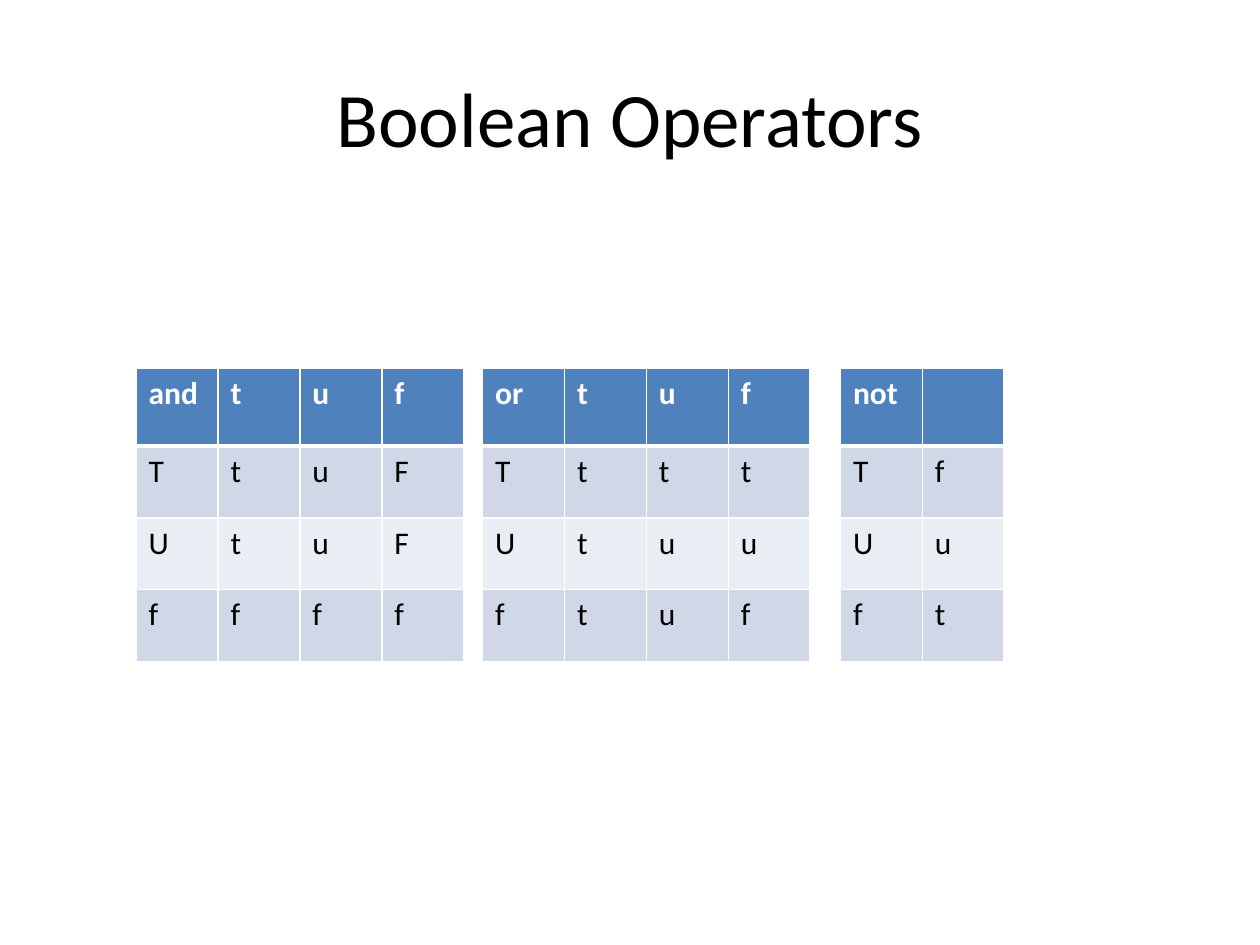
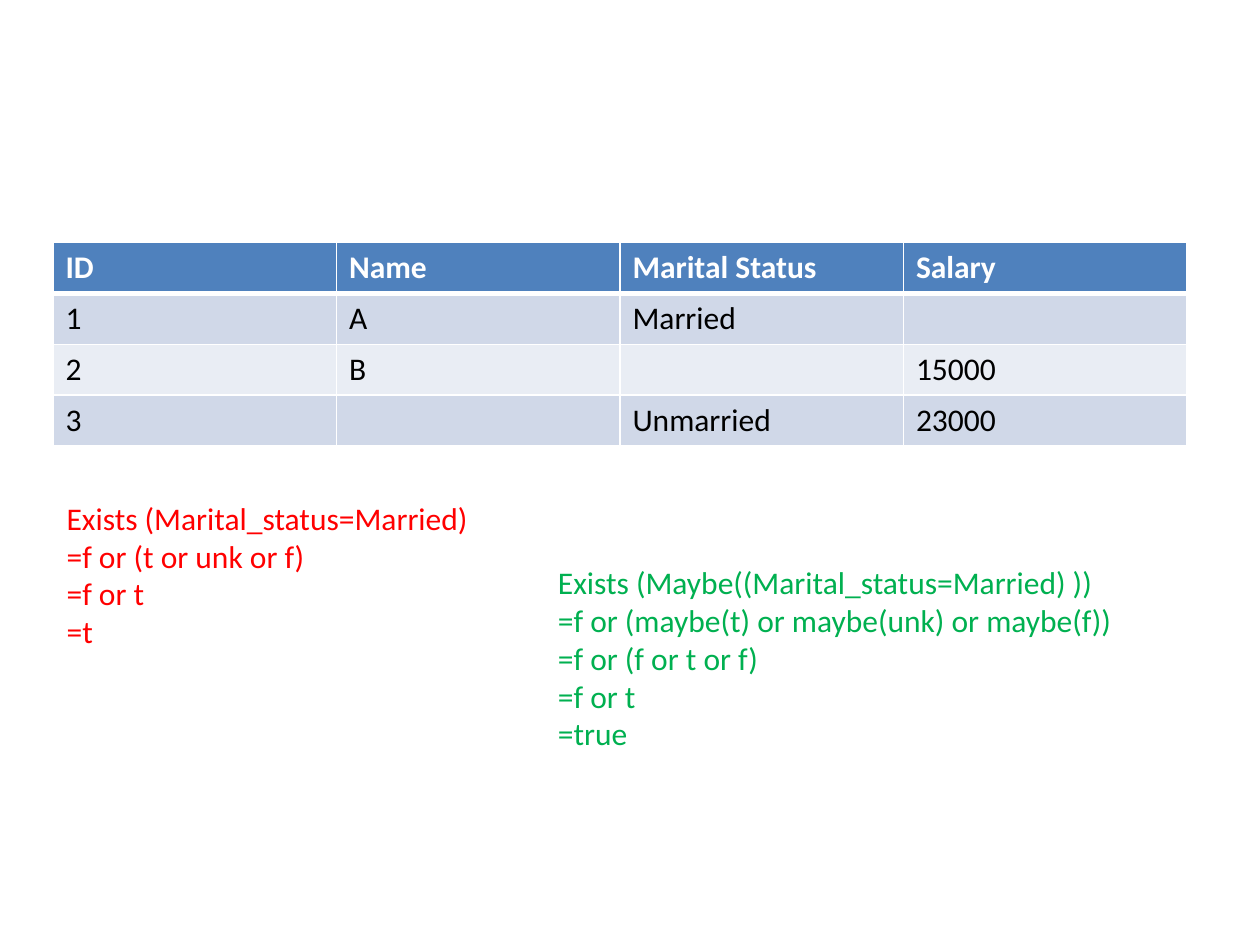
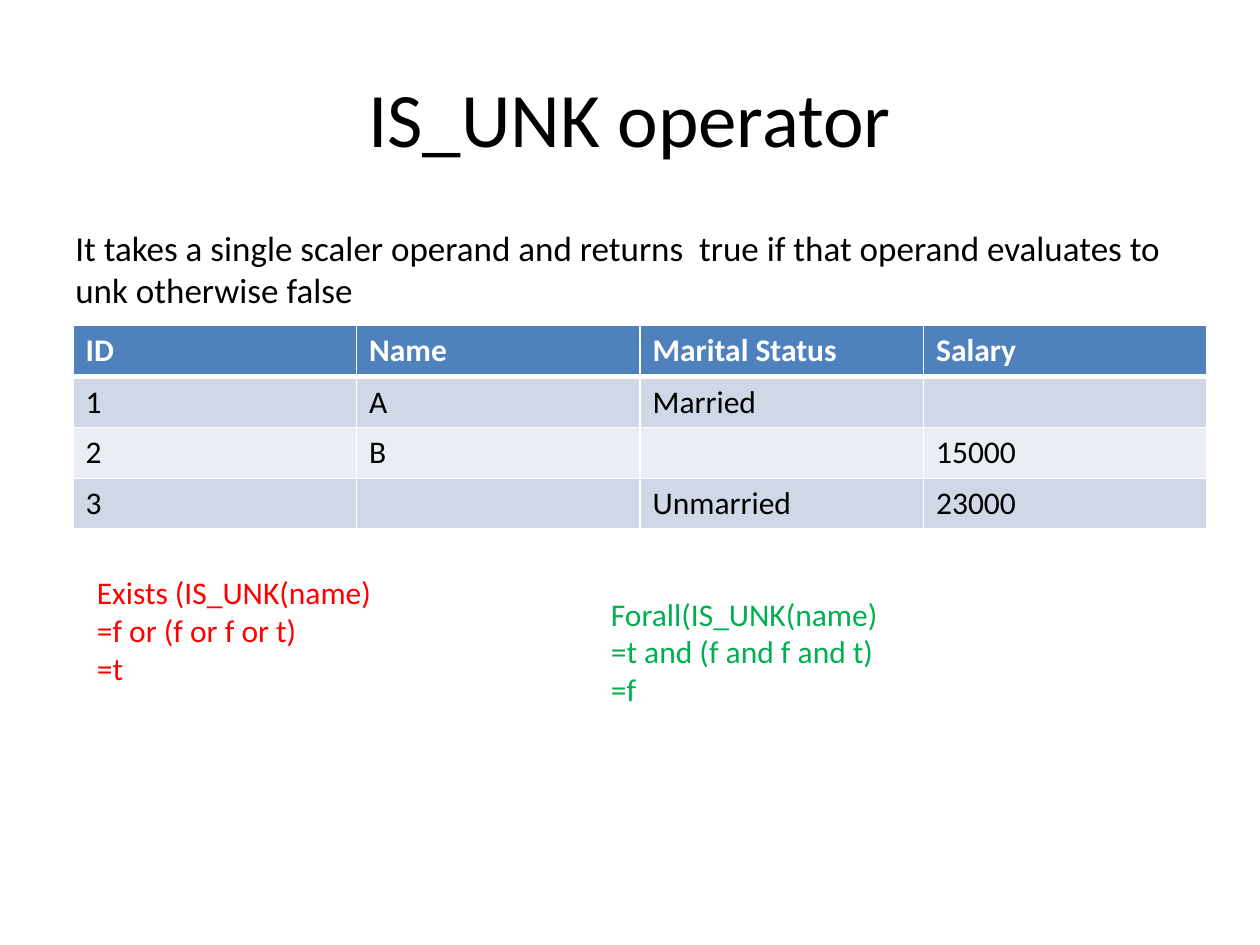
"""Build three slides on three-valued logic with truth tables and queries."""
from dataclasses import dataclass

from lxml import etree
from pptx import Presentation
from pptx import util as u
from pptx.dml.color import RGBColor
from pptx.enum import text
from pptx.oxml.ns import qn

FONT = "Calibri"
BLACK, WHITE, RED, GREEN = "000000", "FFFFFF", "FF0000", "00B050"
HEADER_FILL, BAND_FILLS = "4F81BD", ("D0D8E8", "E9EDF4")
TRUTH_TOP, TRUTH_COLUMN = 2.92, 0.65
RECORDS = (
    ("ID", "Name", "Marital Status", "Salary"),
    ("1", "A", "Married", ""),
    ("2", "B", "", "15000"),
    ("3", "", "Unmarried", "23000"),
)


@dataclass(frozen=True)
class TextBlock:
    """A text box with one paragraph per line."""

    left: float
    top: float
    width: float
    height: float
    lines: tuple[str, ...]
    color: str = BLACK
    size: float = 18
    align: text.PP_ALIGN = text.PP_ALIGN.LEFT
    anchor: text.MSO_ANCHOR = text.MSO_ANCHOR.TOP
    space_before: float = 0


@dataclass(frozen=True)
class Grid:
    """A banded table with a header row and equal columns."""

    left: float
    top: float
    rows: tuple[tuple[str, ...], ...]
    column: float = 2.25
    header: float = 0.41
    height: float = 1.62


def rgb(value: str) -> RGBColor:
    """Return the colour for a hex string."""
    return RGBColor.from_string(value)


def add_run(paragraph, content: str, color: str, size: float = 18, bold: bool = False) -> None:
    """Add a formatted run to a paragraph."""
    run = paragraph.add_run()
    run.text = content
    for name, value in {"name": FONT, "size": u.Pt(size), "bold": bold}.items():
        setattr(run.font, name, value)
    run.font.color.rgb = rgb(color)


def add_text(slide, block: TextBlock) -> None:
    """Draw a text block."""
    place = (block.left, block.top, block.width, block.height)
    frame = slide.shapes.add_textbox(*map(u.Inches, place)).text_frame
    frame.word_wrap = True
    frame.vertical_anchor = block.anchor
    for index, line in enumerate(block.lines):
        paragraph = frame.add_paragraph() if index else frame.paragraphs[0]
        paragraph.alignment = block.align
        paragraph.space_before = u.Pt(block.space_before)
        add_run(paragraph, line, block.color, block.size)


def add_title(slide, title: str) -> None:
    """Draw the shared centred title."""
    add_text(slide, TextBlock(0.5, 0.3, 9, 1.25, (title,), size=44,
                              align=text.PP_ALIGN.CENTER, anchor=text.MSO_ANCHOR.MIDDLE))


def set_borders(cell, widths: dict[str, float]) -> None:
    """Give each cell side a white line of its width in points."""
    properties = cell._tc.get_or_add_tcPr()
    for side, width in widths.items():
        line = etree.SubElement(properties, qn(f"a:ln{side}"), w=str(u.Pt(width)))
        fill = etree.SubElement(line, qn("a:solidFill"))
        etree.SubElement(fill, qn("a:srgbClr"), val=WHITE)


def add_grid(slide, grid: Grid) -> None:
    """Draw a banded table."""
    row_count, column_count = len(grid.rows), len(grid.rows[0])
    place = (grid.left, grid.top, grid.column * column_count, grid.height)
    table = slide.shapes.add_table(row_count, column_count, *map(u.Inches, place)).table
    for column in table.columns:
        column.width = u.Inches(grid.column)
    body = (grid.height - grid.header) / (row_count - 1)
    for row, values in enumerate(grid.rows):
        is_header = row == 0
        table.rows[row].height = u.Inches(grid.header if is_header else body)
        fill = HEADER_FILL if is_header else BAND_FILLS[(row - 1) % 2]
        widths = {"L": 1, "R": 1, "T": 3 if row == 1 else 1, "B": 3 if is_header else 1}
        for column, value in enumerate(values):
            cell = table.cell(row, column)
            set_borders(cell, widths)
            cell.fill.solid()
            cell.fill.fore_color.rgb = rgb(fill)
            if value:
                add_run(cell.text_frame.paragraphs[0], value,
                        WHITE if is_header else BLACK, bold=is_header)


def build_operators(slide) -> None:
    """Draw the truth tables of and, or and not."""
    add_title(slide, "Boolean Operators")
    truth_tables = {
        1.08: (("and", "t", "u", "f"), tuple("TtuF"), tuple("UtuF"), tuple("ffff")),
        3.83: (("or", "t", "u", "f"), tuple("Tttt"), tuple("Utuu"), tuple("ftuf")),
        6.67: (("not", ""), tuple("Tf"), tuple("Uu"), tuple("ft")),
    }
    for left, rows in truth_tables.items():
        add_grid(slide, Grid(left, TRUTH_TOP, rows, TRUTH_COLUMN, 0.62, 2.33))


def build_maybe(slide) -> None:
    """Draw the records with the exists and maybe queries."""
    add_grid(slide, Grid(0.42, 1.92, RECORDS))
    add_text(slide, TextBlock(0.43, 3.91, 3.92, 1.31, (
        "Exists (Marital_status=Married) ", "=f or (t or unk or f)", "=f or t", "=t"), RED))
    add_text(slide, TextBlock(4.33, 4.42, 4.83, 1.62, (
        "Exists (Maybe((Marital_status=Married) ))",
        "=f or (maybe(t) or maybe(unk) or maybe(f))",
        "=f or (f or t or f)", "=f or t", "=true"), GREEN))


def build_is_unk(slide) -> None:
    """Draw the IS_UNK definition, records and queries."""
    add_title(slide, "IS_UNK operator")
    add_text(slide, TextBlock(0.5, 1.75, 9, 4.95, (
        "It takes a single scaler operand and returns  true if that operand "
        "evaluates to unk otherwise false",), size=20, space_before=4))
    add_grid(slide, Grid(0.58, 2.58, RECORDS))
    add_text(slide, TextBlock(0.67, 4.5, 3.75, 1.01, (
        "Exists (IS_UNK(name)", "=f or (f or f or t)", "=t"), RED))
    add_text(slide, TextBlock(4.75, 4.67, 3.75, 1.01, (
        "Forall(IS_UNK(name)", "=t and (f and f and t)", "=f"), GREEN))


def main() -> None:
    """Build and save the presentation."""
    presentation = Presentation()
    presentation.slide_width, presentation.slide_height = u.Inches(10), u.Inches(7.5)
    for build in (build_operators, build_maybe, build_is_unk):
        build(presentation.slides.add_slide(presentation.slide_layouts[6]))
    presentation.save("out.pptx")


main()
